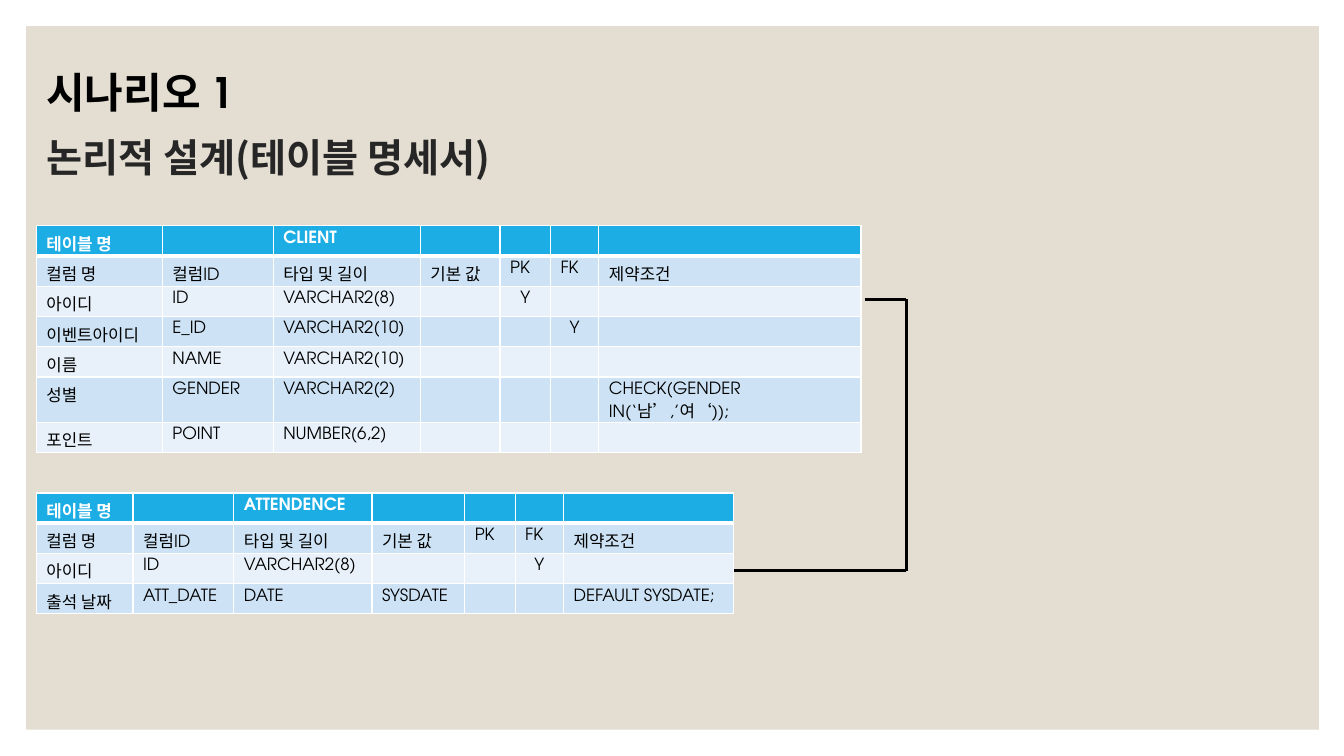
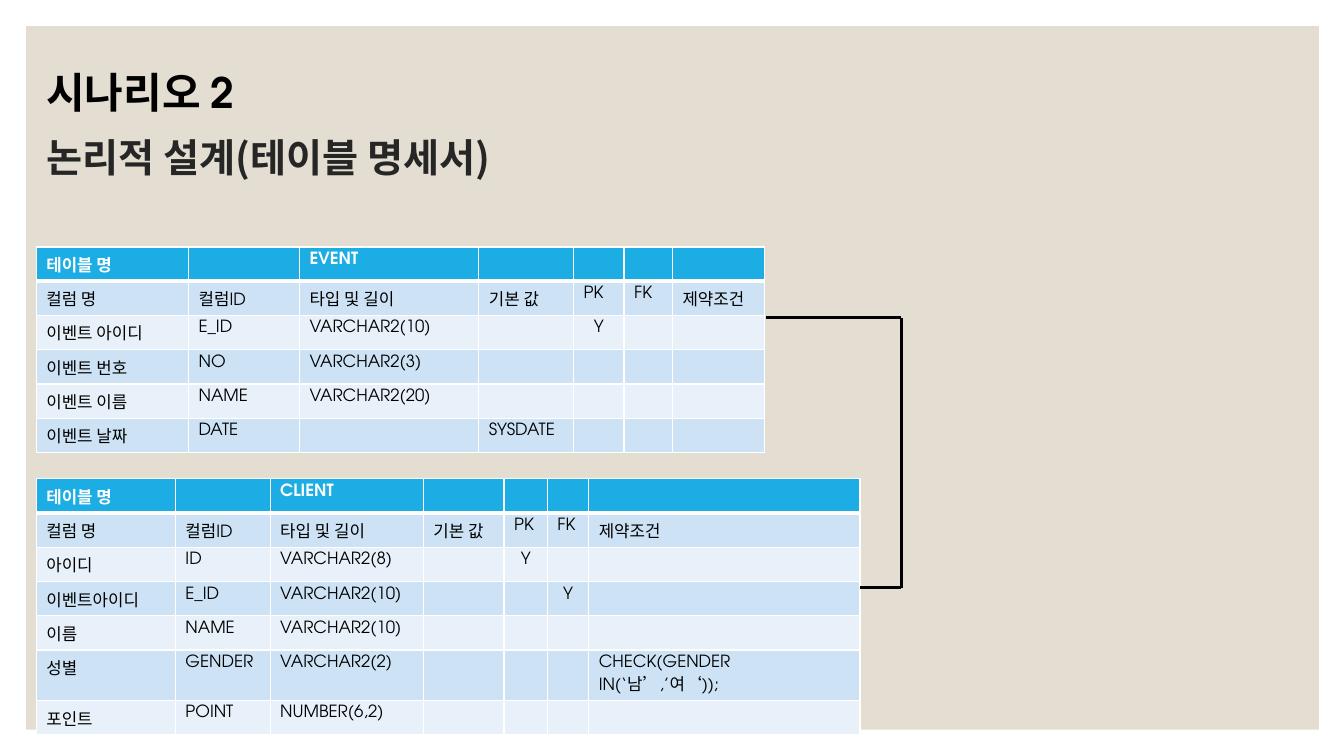
from dataclasses import dataclass
from itertools import pairwise

from lxml.etree import SubElement
from pptx import Presentation
from pptx.dml.color import RGBColor
from pptx.enum.shapes import MSO_CONNECTOR, MSO_SHAPE
from pptx.enum.text import MSO_ANCHOR, MSO_AUTO_SIZE, PP_ALIGN
from pptx.oxml.ns import qn
from pptx.util import Emu, Pt


@dataclass(frozen=True)
class Theme:
    paper: str = "E3DED1"
    head: str = "1CADE4"
    dark: str = "CDE3F5"
    light: str = "E8F1FA"
    white: str = "FFFFFF"
    black: str = "000000"
    ink: str = "262626"
    latin: str = "TeX Gyre Adventor"
    hangul: str = "Noto Sans CJK KR"
    top: int = 30
    title: int = 28
    cell: int = 12
    line: float = 2.25
    thin: int = 1
    thick: int = 3


def px(n):
    return Emu(n * 9144)


class Deck:
    def __init__(self, theme):
        self.theme = theme
        self.prs = Presentation()
        self.prs.slide_width, self.prs.slide_height = px(1333), px(750)
        self.slide = None

    def page(self, top, title):
        self.slide = self.prs.slides.add_slide(self.prs.slide_layouts[5])
        self.panel(26, 26, 1282, 698)
        self.title(title, 36, 123, 494, 72)
        self.label(top, 36, 61, 224, 61)

    def style(self, para, size, color, bold=False, face=None):
        font = para.font
        font.size, font.bold = Pt(size), bold
        font.name = face or self.theme.latin
        font.color.rgb = RGBColor.from_string(color)
        props = para._p.pPr.find(qn("a:defRPr"))
        SubElement(props, qn("a:ea"), typeface=self.theme.hangul)

    def panel(self, x, y, w, h):
        shapes = self.slide.shapes
        box = shapes.add_shape(MSO_SHAPE.RECTANGLE, px(x), px(y), px(w), px(h))
        box.shadow.inherit = False
        box.fill.solid()
        box.fill.fore_color.rgb = RGBColor.from_string(self.theme.paper)
        box.line.fill.background()
        shapes._spTree.insert(2, box._element)

    def title(self, text, x, y, w, h):
        box = self.slide.shapes.title
        box.left, box.top, box.width, box.height = px(x), px(y), px(w), px(h)
        frame = box.text_frame
        frame.text = text
        frame.auto_size = MSO_AUTO_SIZE.NONE
        frame.vertical_anchor = MSO_ANCHOR.MIDDLE
        frame.margin_right = 0
        para = frame.paragraphs[0]
        para.alignment = PP_ALIGN.LEFT
        para.line_spacing = 0.9
        self.style(para, self.theme.title, self.theme.ink, True, self.theme.hangul)

    def label(self, text, x, y, w, h):
        box = self.slide.shapes.add_textbox(px(x), px(y), px(w), px(h))
        frame = box.text_frame
        frame.text = text
        frame.word_wrap = False
        frame.auto_size = MSO_AUTO_SIZE.SHAPE_TO_FIT_TEXT
        self.style(frame.paragraphs[0], self.theme.top, self.theme.black, True)

    def border(self, cell, row):
        theme = self.theme
        props = cell._tc.get_or_add_tcPr()
        for side in "LRTB":
            heavy = (side, row) in (("B", 0), ("T", 1))
            width = Pt(theme.thick if heavy else theme.thin)
            line = SubElement(props, qn(f"a:ln{side}"), w=str(width))
            fill = SubElement(line, qn("a:solidFill"))
            SubElement(fill, qn("a:srgbClr"), val=theme.white)

    def cell(self, cell, text, row, foot):
        theme = self.theme
        self.border(cell, row)
        color = theme.head if row == 0 else theme.dark if row % 2 else theme.light
        cell.fill.solid()
        cell.fill.fore_color.rgb = RGBColor.from_string(color)
        cell.margin_bottom = px(foot)
        cell.text = text
        para = cell.text_frame.paragraphs[0]
        if text == "Y":
            para.alignment = PP_ALIGN.CENTER
        ink = theme.black if row else theme.white
        self.style(para, theme.cell, ink, row == 0)
        if not text:
            SubElement(para._p, qn("a:endParaRPr"), sz=str(theme.cell * 100))

    def table(self, name, data, x, y, cols, high, foot):
        rows = [("테이블 명", "", name, "", "", "", ""), HEADS, *data]
        frame = self.slide.shapes.add_table(
            len(rows), len(cols), px(x), px(y), px(sum(cols)), px(high * len(rows)))
        table = frame.table
        table.first_row = table.horz_banding = False
        for col, wide in zip(table.columns, cols):
            col.width = px(wide)
        for r, texts in enumerate(rows):
            table.rows[r].height = px(high)
            for c, text in enumerate(texts):
                self.cell(table.cell(r, c), text, r, foot)

    def link(self, *points):
        for (x1, y1), (x2, y2) in pairwise(points):
            line = self.slide.shapes.add_connector(
                MSO_CONNECTOR.STRAIGHT, px(x1), px(y1), px(x2), px(y2))
            line.line.width = Pt(self.theme.line)
            line.line.color.rgb = RGBColor.from_string(self.theme.black)
            SubElement(line._element.spPr, qn("a:effectLst"))


HEADS = ("컬럼 명", "컬럼ID", "타입 및 길이", "기본 값", "PK", "FK", "제약조건")
CLIENT = [
    ("아이디", "ID", "VARCHAR2(8)", "", "Y", "", ""),
    ("이벤트아이디", "E_ID", "VARCHAR2(10)", "", "", "Y", ""),
    ("이름", "NAME", "VARCHAR2(10)", "", "", "", ""),
    ("성별", "GENDER", "VARCHAR2(2)", "", "", "", "CHECK(GENDER IN(‘남’,’여‘));"),
    ("포인트", "POINT", "NUMBER(6,2)", "", "", "", ""),
]
ATTEND = [
    ("아이디", "ID", "VARCHAR2(8)", "", "", "Y", ""),
    ("출석 날짜", "ATT_DATE", "DATE", "SYSDATE", "", "", "DEFAULT SYSDATE;"),
]
EVENT = [
    ("이벤트 아이디", "E_ID", "VARCHAR2(10)", "", "Y", "", ""),
    ("이벤트 번호", "NO", "VARCHAR2(3)", "", "", "", ""),
    ("이벤트 이름", "NAME", "VARCHAR2(20)", "", "", "", ""),
    ("이벤트 날짜", "DATE", "", "SYSDATE", "", "", ""),
]
TITLE = "논리적 설계(테이블 명세서)"


def main():
    deck = Deck(Theme())

    deck.page("시나리오 1", TITLE)
    deck.table("CLIENT", CLIENT, 36, 224, (125, 110, 146, 79, 50, 48, 260), 30, 0)
    deck.table("ATTENDENCE", ATTEND, 36, 489, (96, 100, 137, 92, 50, 48, 169), 30, 0)
    deck.link((858, 297), (899, 297), (899, 566), (728, 566))

    deck.page("시나리오 2", TITLE)
    deck.table("EVENT", EVENT, 36, 245, (151, 110, 178, 94, 50, 48, 91), 34, 5)
    deck.table("CLIENT", CLIENT, 36, 475, (138, 94, 152, 80, 43, 41, 269), 34, 5)
    deck.link((760, 315), (894, 315), (894, 583), (853, 583))

    deck.prs.save("out.pptx")


if __name__ == "__main__":
    main()
